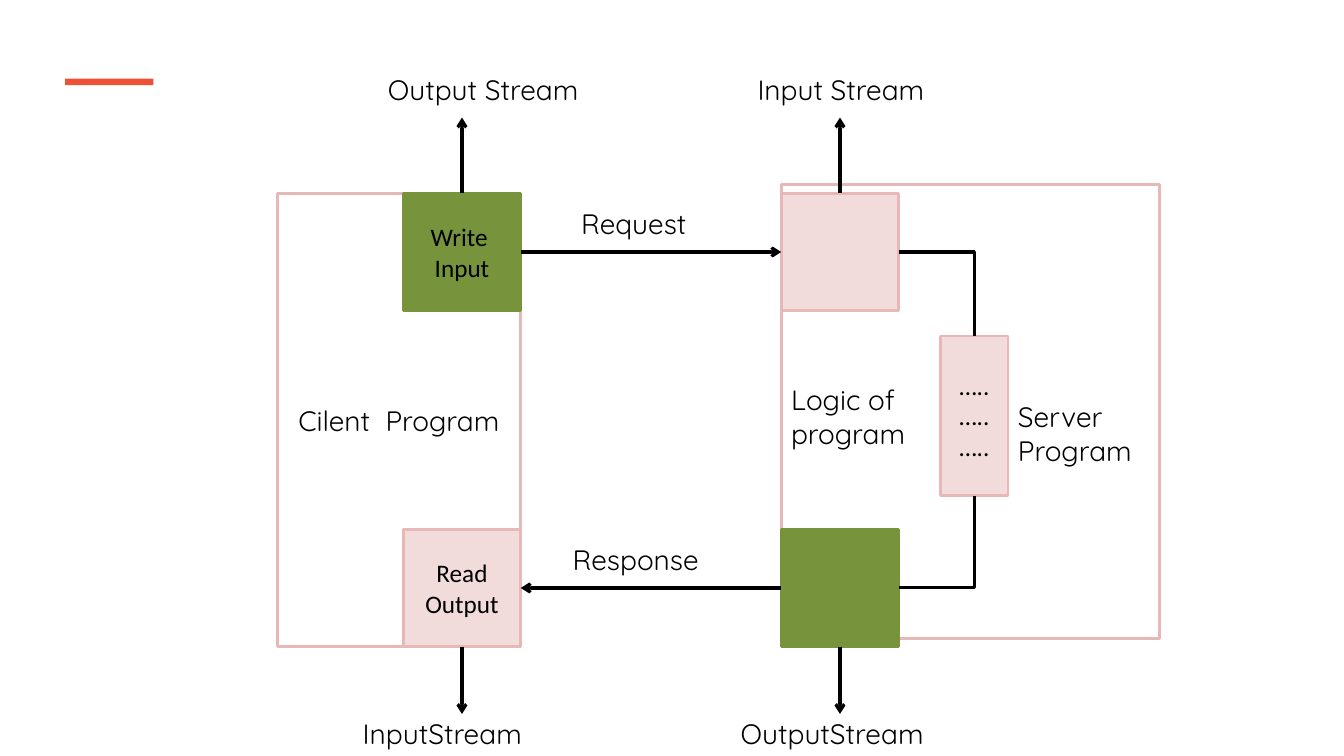
import pptx
import pptx.dml.color
import pptx.enum.shapes
import pptx.enum.text
import pptx.oxml
import pptx.oxml.ns
import pptx.util

PX = 9525
BLACK, WHITE, RED = "000000", "FFFFFF", "F05136"
GREEN, PINK, ROSE = "77933C", "F2DCDB", "E6B9B8"
TOP, LEFT, BOTTOM, RIGHT = range(4)
SIDE = 112
LABEL = {"name": "Quicksand", "size": pptx.util.Pt(20)}
CODE = {"name": "Calibri", "size": pptx.util.Pt(18)}
KIND = pptx.enum.shapes.MSO_CONNECTOR


def px(*nums):
    """Turn whole pixels into EMU."""
    return [pptx.util.Emu(n * PX) for n in nums]


def paint(color, code):
    """Give a colour format a hex colour."""
    color.rgb = pptx.dml.color.RGBColor.from_string(code)


def write(frame, text, style, align=None):
    """Fill a text frame, one paragraph per line of text."""
    frame.word_wrap = True
    for i, line in enumerate(text.split("\n")):
        para = frame.paragraphs[0] if i == 0 else frame.add_paragraph()
        para.alignment = align
        run = para.add_run()
        run.text = line
        for key, value in style.items():
            setattr(run.font, key, value)
        paint(run.font.color, BLACK)


def block(slide, box, fill, edge=None, text="", style=CODE):
    """Draw a rectangle with centred text."""
    shape = slide.shapes.add_shape(
        pptx.enum.shapes.MSO_SHAPE.RECTANGLE, *px(*box))
    shape.shadow.inherit = False
    shape.fill.solid()
    paint(shape.fill.fore_color, fill)
    if edge:
        paint(shape.line.color, edge)
        shape.line.width = pptx.util.Pt(2)
    else:
        shape.line.fill.background()
    if text:
        shape.text_frame.vertical_anchor = pptx.enum.text.MSO_ANCHOR.MIDDLE
        write(shape.text_frame, text, style, pptx.enum.text.PP_ALIGN.CENTER)
    return shape


def label(slide, box, text):
    """Add a text box that grows with its text."""
    frame = slide.shapes.add_textbox(*px(*box)).text_frame
    write(frame, text, LABEL)
    frame.auto_size = pptx.enum.text.MSO_AUTO_SIZE.SHAPE_TO_FIT_TEXT


def wire(slide, start, side, kind=KIND.STRAIGHT, arrow=True):
    """Add a black connector that leaves one side of a shape."""
    line = slide.shapes.add_connector(kind, 0, 0, 0, 0)
    line.begin_connect(start, side)
    paint(line.line.color, BLACK)
    line.line.width = pptx.util.Pt(2.25)
    props = line._element.spPr
    if arrow:
        tail = pptx.oxml.parse_xml(
            '<a:tailEnd %s type="arrow"/>' % pptx.oxml.ns.nsdecls("a"))
        line.line._get_or_add_ln().append(tail)
    props.append(pptx.oxml.parse_xml(
        "<a:effectLst %s/>" % pptx.oxml.ns.nsdecls("a")))
    return line


def join(slide, start, side, end, into):
    """Join two shapes with a straight arrow."""
    wire(slide, start, side).end_connect(end, into)


def bend(slide, start, end, into):
    """Join two shapes with a single right-angled turn."""
    line = wire(slide, start, RIGHT, KIND.ELBOW, False)
    line.end_connect(end, into)
    line._element.spPr.prstGeom.set("prst", "bentConnector2")


def stream(slide, start, side, reach, left, text):
    """Point an arrow up or down from a block to its stream name."""
    line = wire(slide, start, side)
    line.end_x, line.end_y = line.begin_x, px(reach)[0]
    label(slide, (left, 64 if side == TOP else 678, 208, 42), text)


def client(slide, x, y, w, h):
    """Draw the client and return its write and read blocks."""
    block(slide, (x, y, w, h), WHITE, ROSE, "Cilent  Program", LABEL)
    left = x + w - SIDE
    put = block(slide, (left, y, SIDE, SIDE), GREEN, GREEN, "Write \nInput")
    get = block(slide, (left, y + h - SIDE, SIDE, SIDE), PINK, ROSE,
                "Read\nOutput")
    return put, get


def server(slide, x, y, w, h):
    """Draw the server and return its input and output blocks."""
    block(slide, (x, y, w, h), WHITE, ROSE)
    take = block(slide, (x, y + 8, SIDE, SIDE), PINK, ROSE)
    send = block(slide, (x, y + h + 8 - SIDE, SIDE, SIDE), GREEN, GREEN)
    logic = block(slide, (x + 152, y + 144, 64, 152), PINK, ROSE,
                  "\n".join(["….."] * 3))
    bend(slide, send, logic, BOTTOM)
    bend(slide, take, logic, TOP)
    label(slide, (x, y + 184, 160, 74), "Logic of program")
    label(slide, (x + 216, y + 200, 160, 74), "Server\nProgram")
    return take, send


def main():
    """Build the slide."""
    deck = pptx.Presentation()
    deck.slide_width, deck.slide_height = px(1280, 720)
    slide = deck.slides.add_slide(deck.slide_layouts[6])
    block(slide, (62, 75, 84, 6), RED)
    put, get = client(slide, 264, 184, 232, 432)
    take, send = server(slide, 744, 176, 360, 432)
    join(slide, put, RIGHT, take, LEFT)
    join(slide, send, LEFT, get, RIGHT)
    label(slide, (544, 192, 168, 42), "Request")
    label(slide, (536, 512, 168, 42), "Response")
    stream(slide, put, TOP, 112, 360, "Output Stream")
    stream(slide, take, TOP, 112, 712, "Input Stream")
    stream(slide, get, BOTTOM, 680, 336, "InputStream")
    stream(slide, send, BOTTOM, 680, 696, "OutputStream")
    deck.save("out.pptx")


if __name__ == "__main__":
    main()
